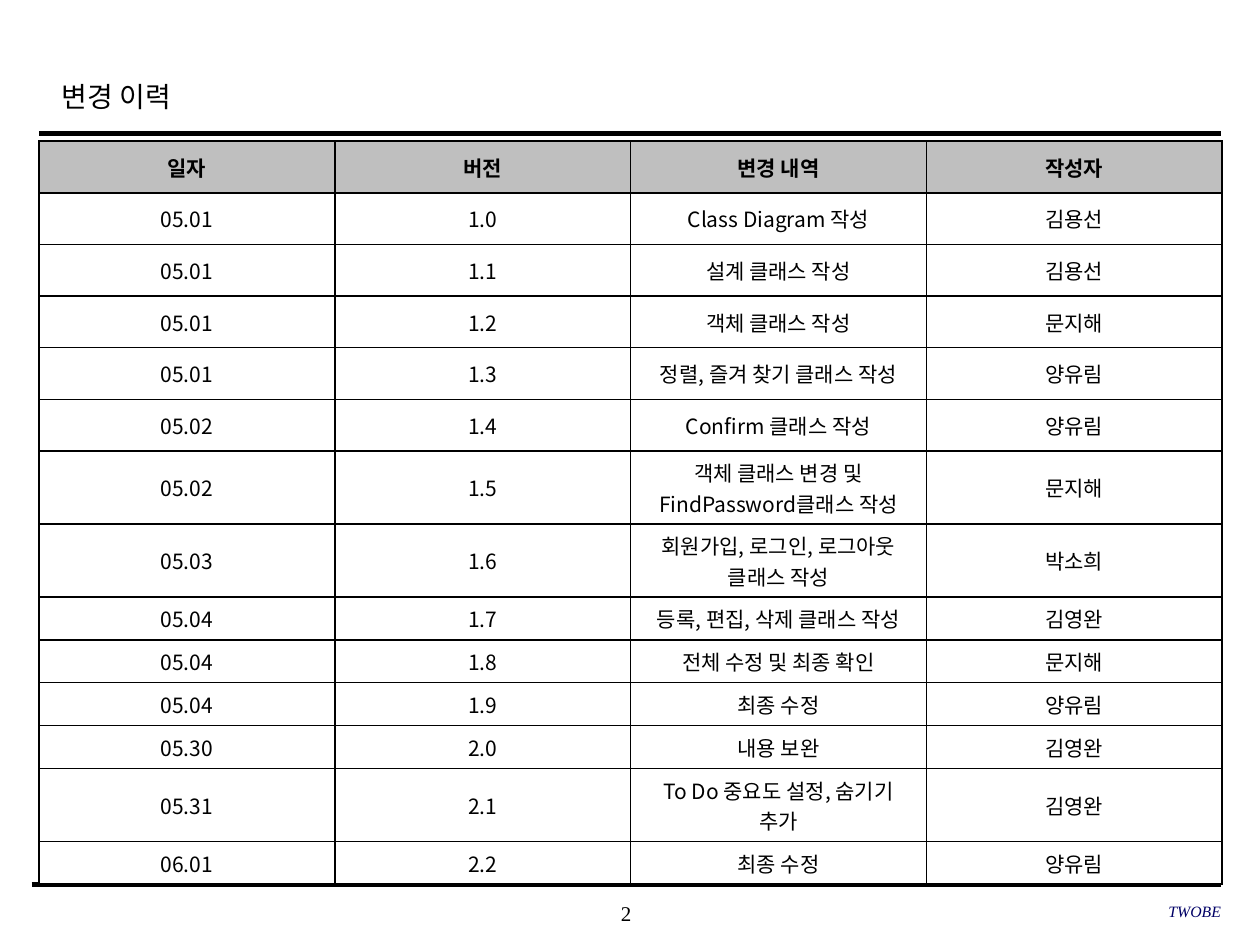
import pptx
import pptx.dml.color
import pptx.enum.shapes
import pptx.enum.text
import pptx.oxml
import pptx.oxml.ns
import pptx.util
from pptx.util import Inches

BLACK = pptx.dml.color.RGBColor(0x00, 0x00, 0x00)
WHITE = pptx.dml.color.RGBColor(0xFF, 0xFF, 0xFF)
GRAY = pptx.dml.color.RGBColor(0xBF, 0xBF, 0xBF)
NAVY = pptx.dml.color.RGBColor(0x00, 0x00, 0x66)

SERIF = "Times New Roman"
KOREAN = "Noto Sans CJK KR"
ALIGN = pptx.enum.text.PP_ALIGN
MIDDLE = pptx.enum.text.MSO_ANCHOR.MIDDLE

TABLE_WIDTH = 9.39
TALL, SHORT, TWO_LINES = 0.41, 0.34, 0.58

# Row height, then date, version, change and author
HISTORY = [
    (TALL, "일자", "버전", "변경 내역", "작성자"),
    (TALL, "05.01", "1.0", "Class Diagram 작성", "김용선"),
    (TALL, "05.01", "1.1", "설계 클래스 작성", "김용선"),
    (TALL, "05.01", "1.2", "객체 클래스 작성", "문지해"),
    (TALL, "05.01", "1.3", "정렬, 즐겨 찾기 클래스 작성", "양유림"),
    (TALL, "05.02", "1.4", "Confirm 클래스 작성", "양유림"),
    (TWO_LINES, "05.02", "1.5", "객체 클래스 변경 및 FindPassword클래스 작성", "문지해"),
    (TWO_LINES, "05.03", "1.6", "회원가입, 로그인, 로그아웃 클래스 작성", "박소희"),
    (SHORT, "05.04", "1.7", "등록, 편집, 삭제 클래스 작성", "김영완"),
    (SHORT, "05.04", "1.8", "전체 수정 및 최종 확인", "문지해"),
    (SHORT, "05.04", "1.9", "최종 수정", "양유림"),
    (SHORT, "05.30", "2.0", "내용 보완", "김영완"),
    (TWO_LINES, "05.31", "2.1", "To Do 중요도 설정, 숨기기 추가", "김영완"),
    (SHORT, "06.01", "2.2", "최종 수정", "양유림"),
]


def format_text(text_frame, size, alignment, font_name, color=BLACK, bold=False, italic=False):
    for paragraph in text_frame.paragraphs:
        paragraph.alignment = alignment
        for run in paragraph.runs:
            font = run.font
            font.size = pptx.util.Pt(size)
            font.bold = bold
            font.italic = italic
            font.color.rgb = color
            font.name = font_name
            east_asian = pptx.oxml.parse_xml(
                f'<a:ea {pptx.oxml.ns.nsdecls("a")} typeface="{KOREAN}"/>')
            font._element.find(pptx.oxml.ns.qn("a:latin")).addnext(east_asian)


def set_title(slide, text):
    title = slide.shapes.title
    title.left, title.top = Inches(0.39), Inches(0.49)
    title.width, title.height = Inches(7.55), Inches(0.5)
    text_frame = title.text_frame
    text_frame.text = text
    text_frame.auto_size = pptx.enum.text.MSO_AUTO_SIZE.NONE
    text_frame.vertical_anchor = MIDDLE
    text_frame.paragraphs[0].line_spacing = 1.2
    format_text(text_frame, 16, ALIGN.LEFT, SERIF)


def add_rule(slide, left, right, top, weight):
    rule = slide.shapes.add_connector(
        pptx.enum.shapes.MSO_CONNECTOR.STRAIGHT,
        Inches(left), Inches(top), Inches(right), Inches(top))
    rule.line.color.rgb = BLACK
    rule.line.width = pptx.util.Pt(weight)
    rule._element.spPr.append(
        pptx.oxml.parse_xml(f'<a:effectLst {pptx.oxml.ns.nsdecls("a")}/>'))


def add_footer_text(slide, text, left, top, width, size, alignment, color=BLACK, italic=False):
    box = slide.shapes.add_textbox(
        Inches(left), Inches(top), Inches(width), Inches(0.33))
    text_frame = box.text_frame
    text_frame.word_wrap = True
    text_frame.vertical_anchor = MIDDLE
    text_frame.margin_left = text_frame.margin_right = 0
    text_frame.margin_top = text_frame.margin_bottom = 0
    text_frame.text = text
    format_text(text_frame, size, alignment, SERIF, color, italic=italic)


def set_cell_borders(cell):
    """Draw a 1 pt black line on all four sides; call before the fill is set."""
    properties = cell._tc.get_or_add_tcPr()
    for side in ("lnL", "lnR", "lnT", "lnB"):
        properties.append(pptx.oxml.parse_xml(
            f'<a:{side} {pptx.oxml.ns.nsdecls("a")} w="{pptx.util.Pt(1)}">'
            f'<a:solidFill><a:srgbClr val="{BLACK}"/></a:solidFill></a:{side}>'))


def add_history_table(slide):
    column_count = len(HISTORY[0]) - 1
    total_height = sum(row[0] for row in HISTORY)
    table = slide.shapes.add_table(
        len(HISTORY), column_count, Inches(0.31), Inches(1.12),
        Inches(TABLE_WIDTH), Inches(total_height)).table
    for column in table.columns:
        column.width = Inches(TABLE_WIDTH / column_count)
    for row_index, (height, *texts) in enumerate(HISTORY):
        is_header = row_index == 0
        table.rows[row_index].height = Inches(height)
        for cell, text in zip(table.rows[row_index].cells, texts):
            cell.text = text
            cell.vertical_anchor = MIDDLE
            set_cell_borders(cell)
            cell.fill.solid()
            cell.fill.fore_color.rgb = GRAY if is_header else WHITE
            format_text(cell.text_frame, 12, ALIGN.CENTER, KOREAN, bold=is_header)


def main():
    presentation = pptx.Presentation()
    presentation.slide_width = Inches(10)
    presentation.slide_height = Inches(7.5)
    slide = presentation.slides.add_slide(presentation.slide_layouts[5])

    add_footer_text(slide, "2", 3.93, 7.08, 2.08, 12, ALIGN.CENTER)
    add_rule(slide, 0.31, 9.69, 1.06, 2.5)
    add_rule(slide, 0.25, 9.69, 7.02, 3)
    set_title(slide, "변경 이력")
    add_footer_text(slide, "TWOBE", 6.63, 7.07, 3.06, 9, ALIGN.RIGHT, NAVY, italic=True)
    add_history_table(slide)

    presentation.save("out.pptx")


if __name__ == "__main__":
    main()
